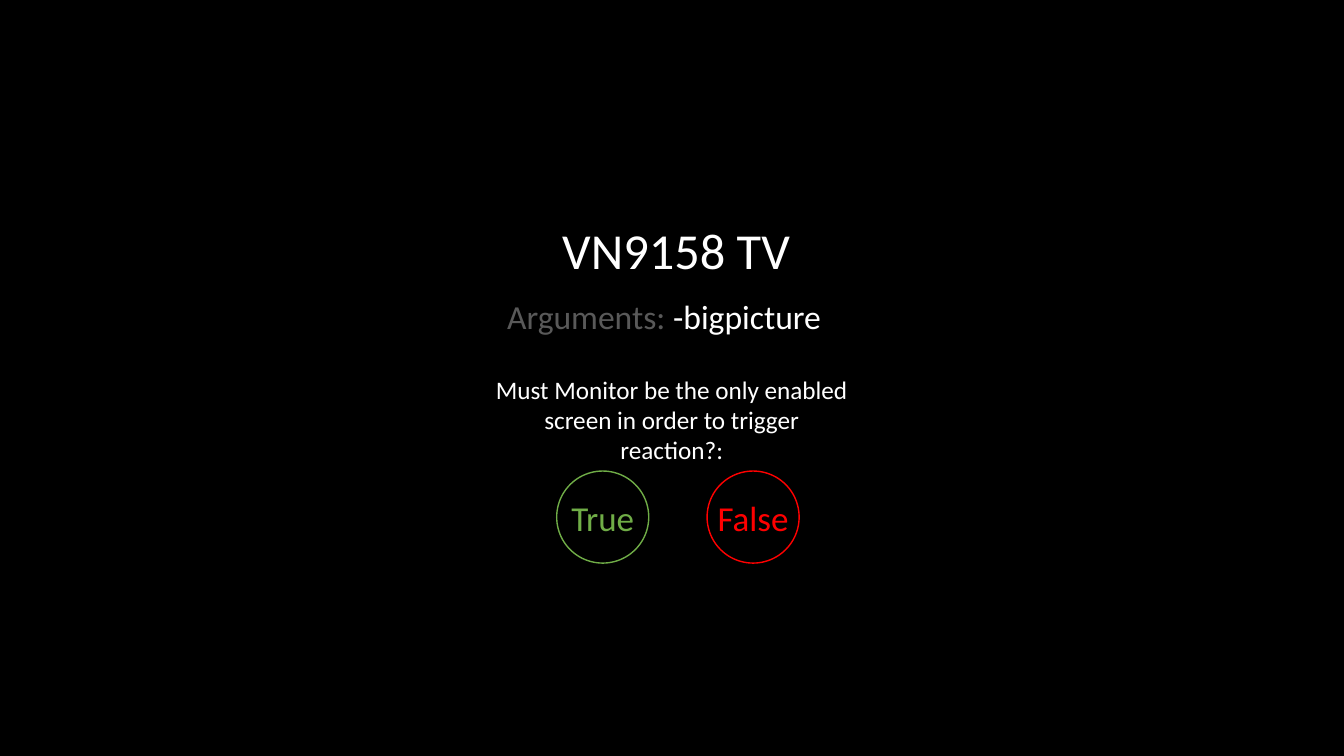
"""Build the monitor trigger slide with its True and False choices."""
from pptx import Presentation
from pptx.dml.color import RGBColor
from pptx.enum.shapes import MSO_SHAPE
from pptx.enum.text import MSO_ANCHOR, PP_ALIGN
from pptx.util import Cm, Pt


def color(hex_code):
    return RGBColor.from_string(hex_code)


def add_run(paragraph, text, size, hex_code):
    run = paragraph.add_run()
    run.text = text
    for name, value in {"name": "Calibri", "size": Pt(size)}.items():
        setattr(run.font, name, value)
    run.font.color.rgb = color(hex_code)


presentation = Presentation()
presentation.slide_width = Cm(33.87)
presentation.slide_height = Cm(19.05)
slide = presentation.slides.add_slide(presentation.slide_layouts[6])
slide.background.fill.solid()
slide.background.fill.fore_color.rgb = color("000000")

captions = [
    (13.92, 5.4, 6.8, 1.8, PP_ALIGN.LEFT, 36, [("VN9158 TV", "FFFFFF")]),
    (12.53, 7.34, 8.79, 1.27, PP_ALIGN.LEFT, 24,
     [("Arguments: ", "595959"), ("-bigpicture", "FFFFFF")]),
    (12.22, 9.3, 9.42, 2.57, PP_ALIGN.CENTER, 18,
     [("Must Monitor be the only enabled screen in order to trigger reaction?:", "FFFFFF")]),
]
for left, top, width, height, alignment, size, parts in captions:
    caption = slide.shapes.add_textbox(Cm(left), Cm(top), Cm(width), Cm(height))
    caption.text_frame.word_wrap = True
    paragraph = caption.text_frame.paragraphs[0]
    paragraph.alignment = alignment
    for text, hex_code in parts:
        add_run(paragraph, text, size, hex_code)

frame_format = {
    "word_wrap": False,
    "vertical_anchor": MSO_ANCHOR.MIDDLE,
    "margin_left": 0,
    "margin_right": 0,
    "margin_top": 0,
    "margin_bottom": 0,
}
for answer, left, hex_code in [("True", 14.03, "70AD47"), ("False", 17.82, "FF0000")]:
    choice = slide.shapes.add_shape(MSO_SHAPE.OVAL, Cm(left), Cm(11.87), Cm(2.32), Cm(2.32))
    choice.shadow.inherit = False
    choice.fill.solid()
    choice.fill.fore_color.rgb = color("000000")
    choice.line.color.rgb = color(hex_code)
    choice.line.width = Pt(1)
    for name, value in frame_format.items():
        setattr(choice.text_frame, name, value)
    paragraph = choice.text_frame.paragraphs[0]
    paragraph.alignment = PP_ALIGN.CENTER
    add_run(paragraph, answer, 25, hex_code)

presentation.save("out.pptx")
